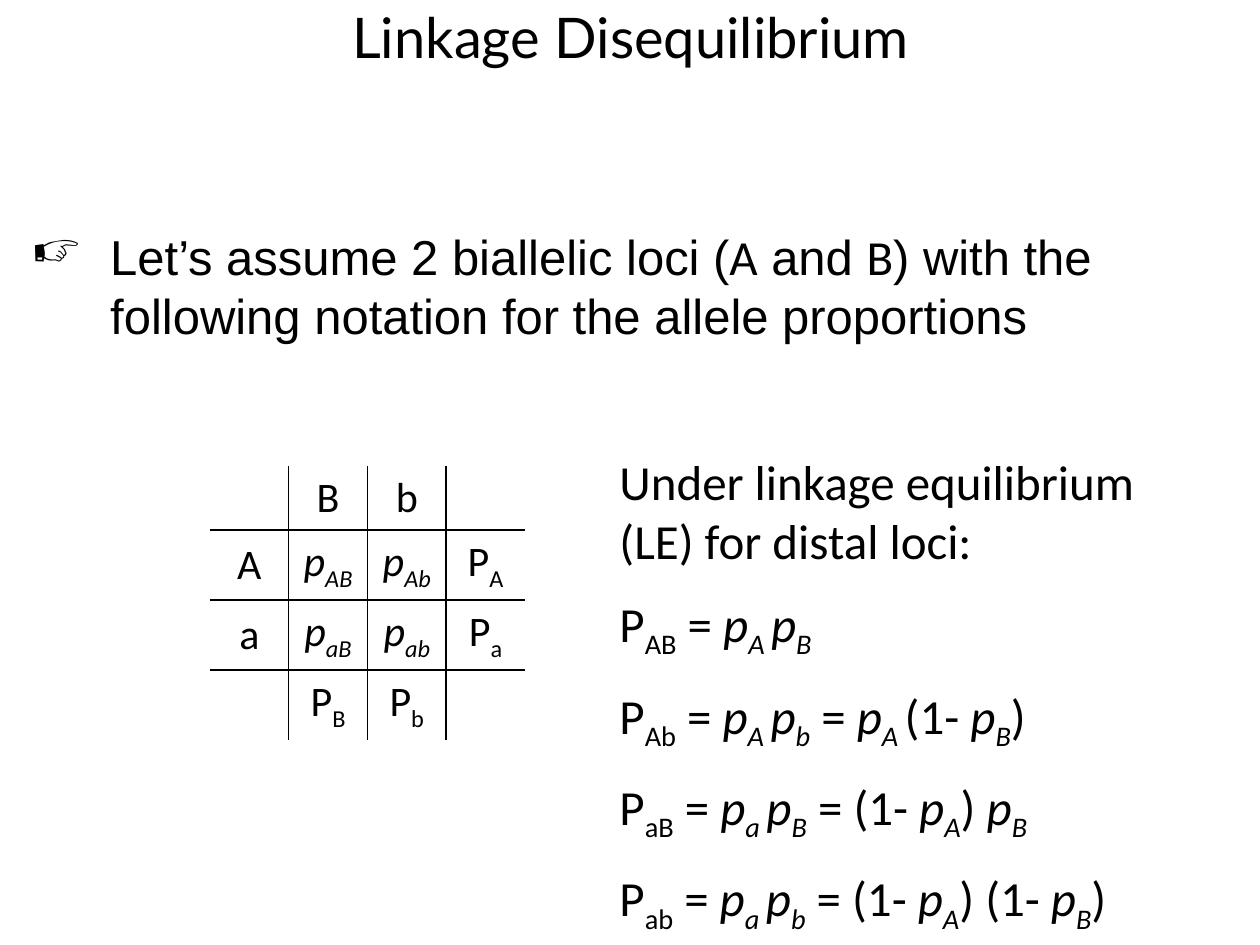
from pptx import Presentation
from pptx.dml.color import RGBColor
from pptx.enum.text import MSO_ANCHOR as Anchor, MSO_AUTO_SIZE as AutoSize, PP_ALIGN as Align
from pptx.oxml.ns import qn
from pptx.util import Pt
from lxml.etree import SubElement

BLACK = "000000"
NO_GRID_STYLE = "{2D5ABB26-0587-4C30-8999-92F81FD0307C}"

# A part starting with one of these marks is (italic, subscript)
MARKS = {"/": (True, False), "_": (False, True), "~": (True, True)}

ALLELE_TABLE = [
    ["", "B", "b", ""],
    ["A", "/p|~AB", "/p|~Ab", "P|_A"],
    ["a", "/p|~aB", "/p|~ab", "P|_a"],
    ["", "P|_B", "P|_b", ""],
]
EQUILIBRIUM = [
    "Under linkage equilibrium (LE) for distal loci:",
    "P|_AB| = |/p|~A |/p|~B",
    "P|_Ab| = |/p|~A |/p|~b| = |/p|~A |(1- |/p|~B|)",
    "P|_aB| = |/p|~a |/p|~B| = (1- |/p|~A|) |/p|~B",
    "P|_ab| = |/p|~a |/p|~b| = (1- |/p|~A|) (1- |/p|~B|)",
]


def color(value):
    return RGBColor.from_string(value)


def add_span(para, text, size=28, font="Calibri", fill=BLACK, italic=False, subscript=False):
    span = para.add_run()
    span.text = text
    span.font.size = Pt(size)
    span.font.name = font
    span.font.color.rgb = color(fill)
    span.font.italic = italic
    if subscript:
        span.font._element.set("baseline", "-25000")


def add_formula(para, markup, **style):
    """Write parts separated by bars, each with an optional mark."""
    for part in filter(None, markup.split("|")):
        italic, subscript = MARKS.get(part[0], (False, False))
        text = part[1:] if part[0] in MARKS else part
        add_span(para, text, italic=italic, subscript=subscript, **style)


def prepare_frame(frame):
    frame.word_wrap = True
    frame.auto_size = AutoSize.NONE
    frame.vertical_anchor = Anchor.TOP
    frame.margin_left = frame.margin_right = 0
    frame.margin_top = frame.margin_bottom = 0
    return frame


def add_box(page, left, top, width, height):
    box = page.shapes.add_textbox(Pt(left), Pt(top), Pt(width), Pt(height))
    return prepare_frame(box.text_frame)


def add_bullet(para, symbol, indent):
    props = para._p.get_or_add_pPr()
    props.set("marL", str(Pt(indent)))
    props.set("indent", str(-Pt(indent)))
    SubElement(props, qn("a:buChar"), char=symbol)


def set_borders(cell, sides):
    props = cell._tc.get_or_add_tcPr()
    for side in sides:
        line = SubElement(props, qn(f"a:ln{side}"), w=str(Pt(1)))
        fill = SubElement(line, qn("a:solidFill"))
        SubElement(fill, qn("a:srgbClr"), val=BLACK)


def add_title(page, text):
    title = page.shapes.title
    title.left, title.top, title.width, title.height = Pt(5), Pt(1.5), Pt(711), Pt(39)
    para = prepare_frame(title.text_frame).paragraphs[0]
    para.alignment = Align.CENTER
    add_span(para, text, size=32, font="Lato")


def add_allele_table(page, left, top, column_width, row_heights):
    rows, columns = len(ALLELE_TABLE), len(ALLELE_TABLE[0])
    frame = page.shapes.add_table(rows, columns, Pt(left), Pt(top),
                                  Pt(column_width * columns), Pt(sum(row_heights)))
    table = frame.table
    table.first_row = table.horz_banding = False
    table._tbl.tblPr.find(qn("a:tableStyleId")).text = NO_GRID_STYLE
    for column in table.columns:
        column.width = Pt(column_width)
    for r, (height, texts) in enumerate(zip(row_heights, ALLELE_TABLE)):
        table.rows[r].height = Pt(height)
        for c, text in enumerate(texts):
            cell = table.cell(r, c)
            # Rules set the outer rows and columns apart from the middle
            sides = [("L", c in (1, 3)), ("R", c in (0, 2)),
                     ("T", r in (1, 3)), ("B", r in (0, 2))]
            set_borders(cell, [side for side, drawn in sides if drawn])
            cell.fill.background()
            cell.vertical_anchor = Anchor.MIDDLE
            cell.margin_left = cell.margin_right = Pt(3.6)
            cell.margin_top = cell.margin_bottom = Pt(3.6)
            para = cell.text_frame.paragraphs[0]
            para.alignment = Align.CENTER
            add_formula(para, text, size=24)


def main():
    deck = Presentation()
    deck.slide_width, deck.slide_height = Pt(720), Pt(540)
    page = deck.slides.add_slide(deck.slide_layouts[5])
    add_title(page, "Linkage Disequilibrium")

    # Assumption
    para = add_box(page, 18, 129.6, 684, 68).paragraphs[0]
    add_bullet(para, "☞", 45)
    for text, font in [("Let’s assume 2 biallelic loci (", "Arial"), ("A", "Calibri"),
                       (" and ", "Arial"), ("B", "Calibri"),
                       (") with the following notation for the allele proportions", "Arial")]:
        add_span(para, text, font=font)

    # Allele proportions
    add_allele_table(page, 120, 266.4, 45, [36, 40, 40, 40])

    # Proportions under equilibrium
    frame = add_box(page, 354, 258, 336, 271)
    for number, markup in enumerate(EQUILIBRIUM):
        para = frame.add_paragraph() if number else frame.paragraphs[0]
        if number:
            para.space_before = Pt(14)
        add_formula(para, markup)

    deck.save("out.pptx")


if __name__ == "__main__":
    main()
